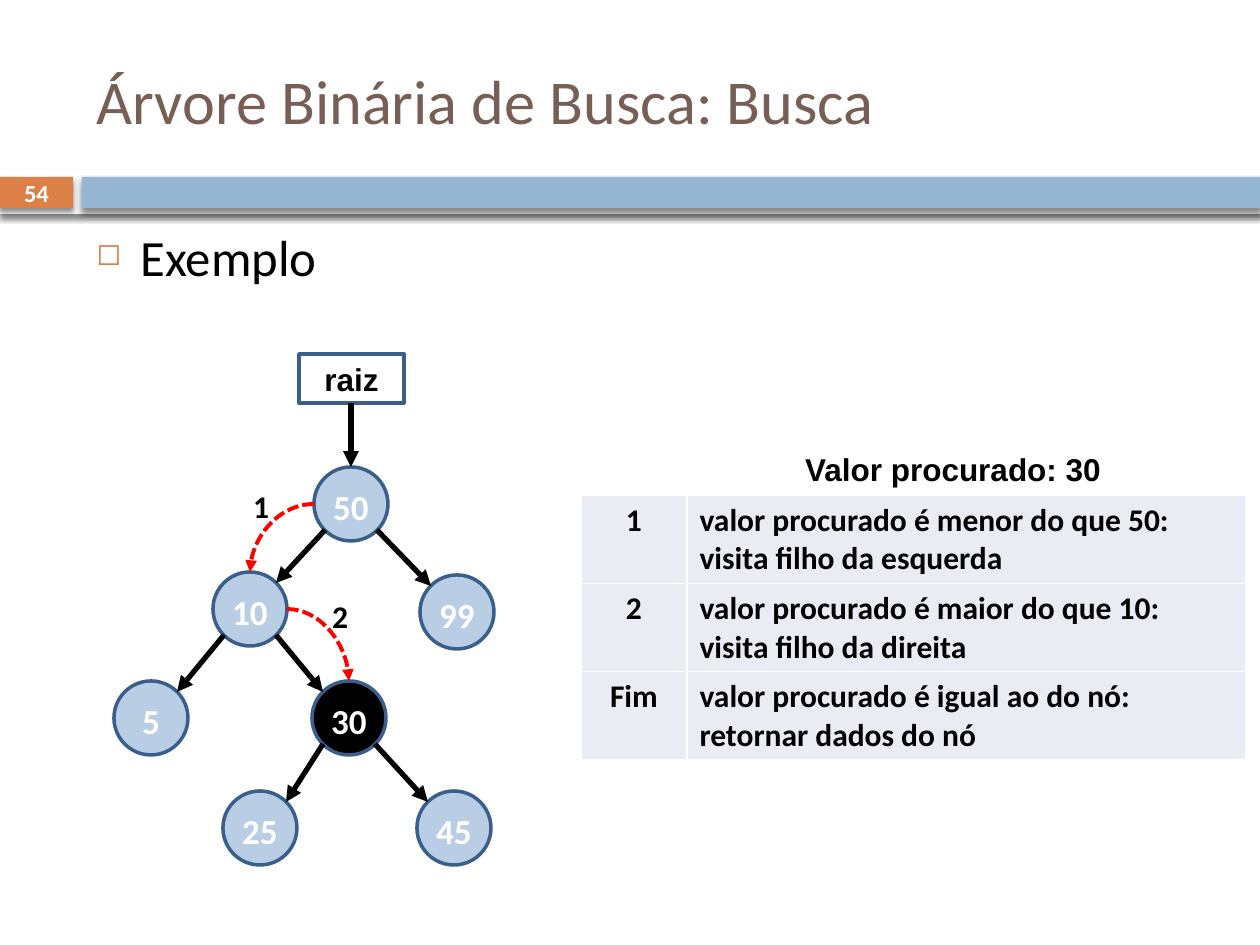
from lxml import etree
from pptx import Presentation
from pptx.dml.color import RGBColor
from pptx.enum.dml import MSO_LINE
from pptx.enum.shapes import MSO_CONNECTOR, MSO_SHAPE
from pptx.enum.text import MSO_ANCHOR, MSO_AUTO_SIZE, PP_ALIGN
from pptx.oxml import parse_xml
from pptx.oxml.ns import nsdecls, qn
from pptx.util import Emu, Pt

TITLE = "Árvore Binária de Busca: Busca"
TOPIC = "Exemplo"
PAGE = "54"
SEARCH = "Valor procurado: 30"
STEPS = [
    ("1", "valor procurado é menor do que 50: visita filho da esquerda"),
    ("2", "valor procurado é maior do que 10: visita filho da direita"),
    ("Fim", "valor procurado é igual ao do nó: retornar dados do nó"),
]
NODES = {  # value: centre in px
    "50": (351, 504), "10": (250, 609), "99": (457, 612), "5": (151, 718),
    "30": (349, 718), "25": (260, 828), "45": (454, 828),
}
EDGES = [("50", "10"), ("50", "99"), ("10", "5"), ("10", "30"), ("30", "25"), ("30", "45")]
VISITS = [("50", "10", "1", (227, 481)), ("10", "30", "2", (306, 591))]
FOUND = "30"
RADIUS = 37
DIAGONAL = 26  # offset of the circle's 45° points
ROOT_BOX = (299, 354, 105, 49)

BLACK = RGBColor(0x00, 0x00, 0x00)
WHITE = RGBColor(0xFF, 0xFF, 0xFF)
BROWN = RGBColor(0x77, 0x5F, 0x55)
ORANGE = RGBColor(0xDD, 0x80, 0x47)
BAR_BLUE = RGBColor(0x94, 0xB6, 0xD2)
NODE_BLUE = RGBColor(0xB9, 0xCD, 0xE5)
OUTLINE = RGBColor(0x3A, 0x5F, 0x8B)
RED = RGBColor(0xFF, 0x00, 0x00)
CELL_GREY = RGBColor(0xE9, 0xEC, 0xF3)
BARS = [((0, 170, 1260, 44), WHITE), ((0, 177, 73, 31), ORANGE), ((82, 177, 1178, 31), BAR_BLUE)]


def px(*values):
    return [Emu(round(value * 914400 / 126)) for value in values]


def write(frame, text, size, color, font="Calibri", bold=True, align=PP_ALIGN.CENTER):
    paragraph = frame.paragraphs[0]
    paragraph.text = text
    paragraph.alignment = align
    style = {"size": Pt(size), "name": font, "bold": bold}
    for name, value in style.items():
        setattr(paragraph.font, name, value)
    paragraph.font.color.rgb = color
    return paragraph


def add_text(slide, box, *args, **kwargs):
    frame = slide.shapes.add_textbox(*px(*box)).text_frame
    frame.word_wrap = True
    return write(frame, *args, **kwargs)


def add_box(slide, kind, box, fill=None, line=None):
    shape = slide.shapes.add_shape(kind, *px(*box))
    shape.shadow.inherit = False
    if fill is None:
        shape.fill.background()
    else:
        shape.fill.solid()
        shape.fill.fore_color.rgb = fill
    if line is None:
        shape.line.fill.background()
    else:
        shape.line.color.rgb = line
        shape.line.width = Pt(2)
    frame = shape.text_frame
    frame.vertical_anchor = MSO_ANCHOR.MIDDLE
    frame.margin_left = frame.margin_right = frame.margin_top = frame.margin_bottom = 0
    return shape


def add_drop_shadow(shape):
    effects = shape._element.spPr.find(qn("a:effectLst"))
    effects.append(parse_xml(
        f'<a:outerShdw {nsdecls("a")} blurRad="{Pt(3)}" dist="{Pt(2.4)}" dir="5400000" '
        'rotWithShape="0"><a:srgbClr val="000000"><a:alpha val="45000"/></a:srgbClr></a:outerShdw>'))


def add_arrow(slide, start, end, color=BLACK, width=3, curved=False):
    kind = MSO_CONNECTOR.CURVE if curved else MSO_CONNECTOR.STRAIGHT
    arrow = slide.shapes.add_connector(kind, *px(*start, *end))
    arrow.line.color.rgb = color
    arrow.line.width = Pt(width)
    properties = arrow._element.spPr
    if curved:
        arrow.line.dash_style = MSO_LINE.SQUARE_DOT
        properties.find(qn("a:prstGeom")).set("prst", "curvedConnector2")
    etree.SubElement(properties.find(qn("a:ln")), qn("a:tailEnd"), type="triangle")
    etree.SubElement(properties, qn("a:effectLst"))


def add_header(slide):
    bars = [add_box(slide, MSO_SHAPE.RECTANGLE, box, fill) for box, fill in BARS]
    for bar in bars:
        add_drop_shadow(bar)
    write(bars[1].text_frame, PAGE, 14, WHITE)
    title = slide.shapes.title
    title.left, title.top, title.width, title.height = px(84, 32, 1124, 136)
    title.text_frame.auto_size = MSO_AUTO_SIZE.NONE
    title.text_frame.vertical_anchor = MSO_ANCHOR.MIDDLE
    write(title.text_frame, TITLE, 35.6, BROWN, bold=False, align=PP_ALIGN.LEFT)


def add_topic(slide):
    paragraph = add_text(slide, (84, 220, 1124, 620), TOPIC, 29, BLACK,
                         bold=False, align=PP_ALIGN.LEFT)
    properties = paragraph._p.get_or_add_pPr()
    indent = px(44)[0]
    properties.set("marL", str(indent))
    properties.set("indent", str(-indent))
    bullet = [f'<a:buClr {nsdecls("a")}><a:srgbClr val="{ORANGE}"/></a:buClr>',
              f'<a:buSzPct {nsdecls("a")} val="60000"/>',
              f'<a:buChar {nsdecls("a")} char="◻"/>']
    for position, xml in enumerate(bullet):
        properties.insert(position, parse_xml(xml))


def add_tree(slide):
    for value, (x, y) in NODES.items():
        fill = BLACK if value == FOUND else NODE_BLUE
        node = add_box(slide, MSO_SHAPE.OVAL,
                       (x - RADIUS, y - RADIUS, 2 * RADIUS, 2 * RADIUS), fill, OUTLINE)
        node.text_frame.margin_top = px(6)[0]
        node.text_frame.word_wrap = False
        write(node.text_frame, value, 20, WHITE)
    for parent, child in EDGES:
        (x1, y1), (x2, y2) = NODES[parent], NODES[child]
        side = DIAGONAL if x2 > x1 else -DIAGONAL
        add_arrow(slide, (x1 + side, y1 + DIAGONAL), (x2 - side, y2 - DIAGONAL))

    root = add_box(slide, MSO_SHAPE.RECTANGLE, ROOT_BOX, line=OUTLINE)
    write(root.text_frame, "raiz", 18, BLACK, font="Arial")
    x, y = NODES["50"]
    add_arrow(slide, (x, ROOT_BOX[1] + ROOT_BOX[3]), (x, y - RADIUS))

    for parent, child, step, corner in VISITS:
        (x1, y1), (x2, y2) = NODES[parent], NODES[child]
        side = RADIUS if x2 > x1 else -RADIUS
        add_arrow(slide, (x1 + side, y1), (x2, y2 - RADIUS), RED, 2.25, curved=True)
        add_text(slide, (*corner, 68, 50), step, 18, BLACK)


def add_steps(slide):
    table = slide.shapes.add_table(len(STEPS), 2, *px(581, 495, 665, 153)).table
    table.first_row = table.horz_banding = False
    for column, width in zip(table.columns, px(106, 559)):
        column.width = width
    for row, texts in enumerate(STEPS):
        for column, text in enumerate(texts):
            cell = table.cell(row, column)
            cell.fill.solid()
            cell.fill.fore_color.rgb = CELL_GREY
            align = PP_ALIGN.LEFT if column else PP_ALIGN.CENTER
            write(cell.text_frame, text, 18, BLACK, align=align)
    add_text(slide, (660, 444, 586, 50), SEARCH, 18, BLACK, font="Arial")


def main():
    presentation = Presentation()
    presentation.slide_width, presentation.slide_height = px(1260, 945)
    slide = presentation.slides.add_slide(presentation.slide_layouts[5])
    for add_part in (add_header, add_topic, add_tree, add_steps):
        add_part(slide)
    presentation.save("out.pptx")


if __name__ == "__main__":
    main()
